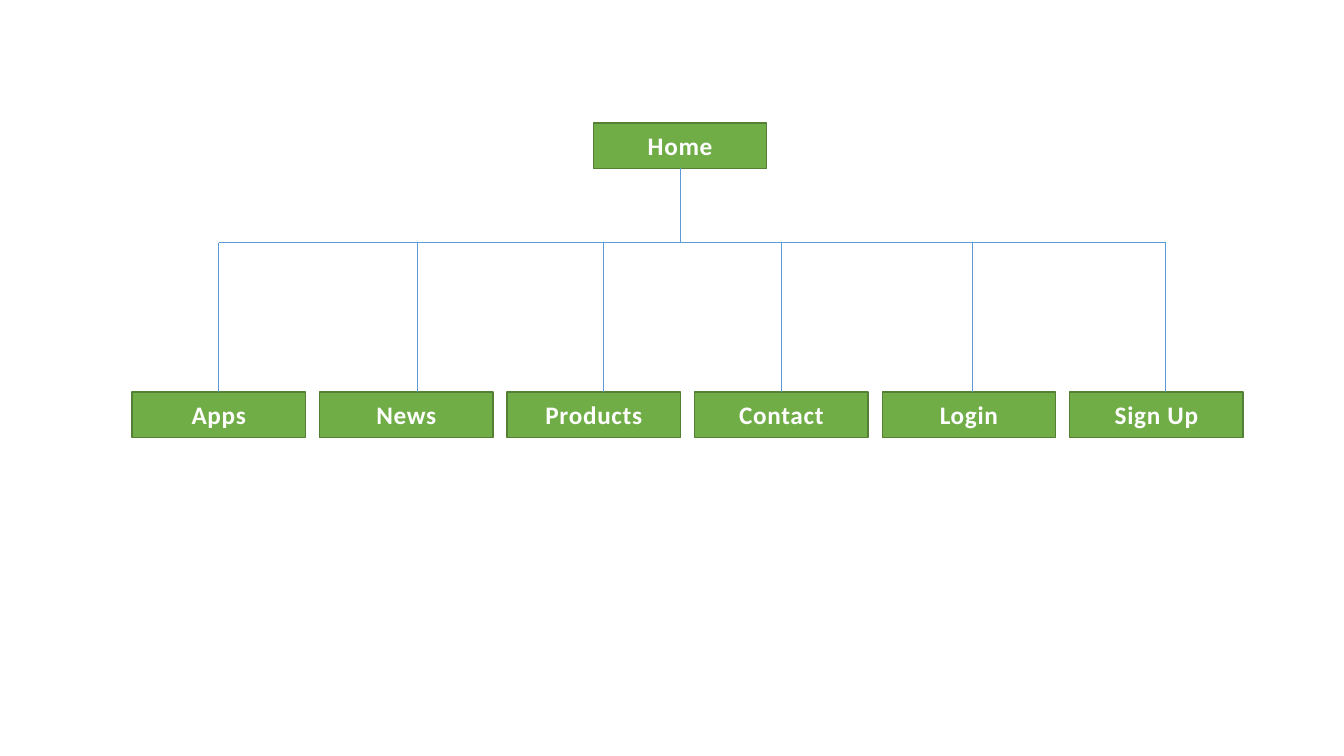
from dataclasses import dataclass

from lxml.etree import SubElement as Sub
from pptx import Presentation
from pptx.dml.color import RGBColor as Rgb
from pptx.enum.shapes import MSO_CONNECTOR as Link, MSO_SHAPE as Kind
from pptx.enum.text import MSO_ANCHOR as Anchor, PP_ALIGN as Align
from pptx.oxml import parse_xml
from pptx.oxml.ns import nsdecls, qn
from pptx.slide import Slide
from pptx.util import Inches, Pt

HUES = {"fill": "70AD47", "edge": "538035", "text": "FEFEFE", "link": "5B9BD5"}

# Grid: one column per page, one row per box height
LEFT, TOP = 1.31, 1.22
COL, ROW = 1.86, 0.45
WIDE = 1.72 / COL
BAR, BASE = 2.64, 5.93


@dataclass(frozen=True)
class Page:
    name: str
    col: float
    row: float = BASE
    shift: float = 0  # drop line's distance from the box centre, in columns

    @property
    def drop(self) -> float:
        return self.col + WIDE / 2 + self.shift


HOME = Page("Home", 2.46, 0)
PAGES = [
    Page(name, col, shift=shift)
    for col, (name, shift) in enumerate([
        ("Apps", 0), ("News", 0.06), ("Products", 0.05),
        ("Contact", 0), ("Login", 0.02), ("Sign Up", 0.05),
    ])
]


def hue(key: str) -> Rgb:
    return Rgb.from_string(HUES[key])


def at_x(col: float) -> int:
    return Inches(LEFT + COL * col)


def at_y(row: float) -> int:
    return Inches(TOP + ROW * row)


def add_box(slide: Slide, page: Page) -> None:
    box = slide.shapes.add_shape(
        Kind.RECTANGLE, at_x(page.col), at_y(page.row),
        Inches(COL * WIDE), Inches(ROW))
    box.shadow.inherit = False
    box.fill.solid()
    box.fill.fore_color.rgb = hue("fill")
    box.line.color.rgb = hue("edge")
    box.line.width = Pt(1)

    frame = box.text_frame
    frame.vertical_anchor = Anchor.MIDDLE
    para = frame.paragraphs[0]
    para.alignment = Align.CENTER
    run = para.add_run()
    run.text = page.name
    font = para.font
    font.name, font.size, font.bold = "Calibri", Pt(18), True
    font.color.rgb = hue("text")

    # Letter spacing and outline belong to the run
    run.font.color.rgb = hue("text")
    props = run.font._element
    props.set("spc", "50")
    props.insert(0, parse_xml(
        f'<a:ln {nsdecls("a")} w="{Pt(0.75)}"><a:solidFill>'
        f'<a:srgbClr val="{HUES["link"]}"/></a:solidFill></a:ln>'))


def add_link(slide: Slide, x1: float, y1: float, x2: float, y2: float) -> None:
    link = slide.shapes.add_connector(
        Link.STRAIGHT, at_x(x1), at_y(y1), at_x(x2), at_y(y2))
    link.line.color.rgb = hue("link")
    link.line.width = Pt(0.5)
    Sub(link._element.spPr, qn("a:effectLst"))


def main() -> None:
    deck = Presentation()
    deck.slide_width, deck.slide_height = Inches(13.33), Inches(7.5)
    slide = deck.slides.add_slide(deck.slide_layouts[6])

    # Boxes
    for page in [HOME, *PAGES]:
        add_box(slide, page)

    # Trunk, crossbar and drops
    add_link(slide, HOME.drop, 1, HOME.drop, BAR)
    add_link(slide, PAGES[0].drop, BAR, PAGES[-1].drop, BAR)
    for page in PAGES:
        add_link(slide, page.drop, BAR, page.drop, page.row)

    deck.save("out.pptx")


if __name__ == "__main__":
    main()
